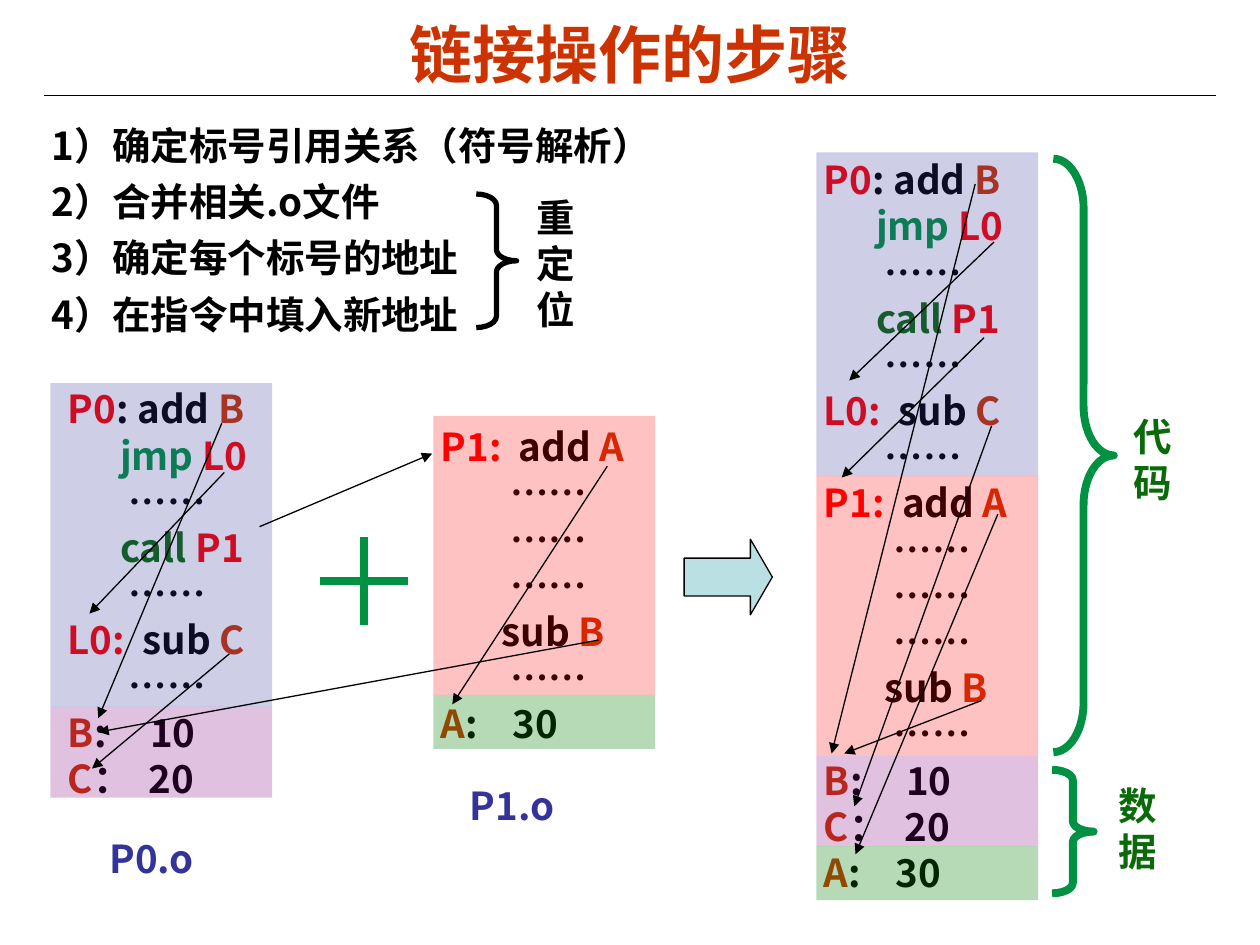
from lxml import etree
from pptx import Presentation
from pptx.dml.color import RGBColor
from pptx.enum.shapes import MSO_CONNECTOR as CONN, MSO_SHAPE as SHAPE
from pptx.enum.text import MSO_ANCHOR as ANCHOR, PP_ALIGN as ALIGN
from pptx.oxml.ns import qn
from pptx.util import Inches, Pt

COLS, ROWS = 100, 75
CELL = Inches(0.1)
SIZE, PITCH = 22, 26.4
CJK = "Noto Sans CJK SC"
C = {
    "black": "000000", "title": "CC3300", "symbol": "CC3300", "label": "FF0000",
    "jump": "009242", "call": "0A6A0A", "brace": "009242", "caption": "0A6A0A",
    "file": "333399", "arrow": "BBE0E3",
    "p0_code": "333399", "p0_data": "800080", "p1_code": "FF0000", "p1_data": "008000",
}

DOTS7 = [("       ……", "black")]
DOTS8 = [("        ……", "black")]
P0_CODE = [
    [("P0", "label"), (": add ", "black"), ("B", "symbol")],
    [("      jmp ", "jump"), ("L0", "label")],
    DOTS7,
    [("      call ", "call"), ("P1", "label")],
    DOTS7,
    [("L0:  ", "label"), ("sub ", "black"), ("C", "symbol")],
    DOTS7,
]
P0_DATA = [
    [("B", "symbol"), (":     10", "black")],
    [("C", "symbol"), ("：  20", "black")],
]
P1_CODE = [
    [("P1:  ", "label"), ("add ", "black"), ("A", "symbol")],
    DOTS8, DOTS8, DOTS8,
    [("       sub ", "black"), ("B", "symbol")],
    DOTS8,
]
P1_DATA = [[("A", "symbol"), (":    30", "black")]]
BANDS = {"p0_code": (25.7, 24), "p0_data": (7.2, 24), "p1_code": (22.15, 24), "p1_data": (4.3, 29)}


def cells(*values):
    return [round(v * CELL) for v in values]


def rgb(key):
    return RGBColor.from_string(C[key])


def add_text(slide, box, lines, font=CJK, size=SIZE, pitch=PITCH, gap=0, align=ALIGN.LEFT, anchor=ANCHOR.TOP):
    tf = slide.shapes.add_textbox(*cells(*box)).text_frame
    tf.word_wrap = True
    tf.vertical_anchor = anchor
    for i, line in enumerate(lines):
        p = tf.add_paragraph() if i else tf.paragraphs[0]
        p.alignment = align
        p.line_spacing = Pt(pitch)
        if i and gap:
            p.space_before = Pt(gap)
        for text, color in line:
            r = p.add_run()
            r.text = text
            r.font.name, r.font.size, r.font.bold = font, Pt(size), True
            r.font.color.rgb = rgb(color)
            etree.SubElement(r.font._element, qn("a:ea")).set("typeface", CJK)


def add_line(slide, start, end, color="black", width=0.75, head=False):
    ln = slide.shapes.add_connector(CONN.STRAIGHT, *cells(*start, *end))
    ln.line.color.rgb = rgb(color)
    ln.line.width = Pt(width)
    if head:
        etree.SubElement(ln.line._get_or_add_ln(), qn("a:tailEnd")).set("type", "triangle")
    etree.SubElement(ln._element.spPr, qn("a:effectLst"))


def add_shape(slide, kind, box, fill=None, alpha=None, line=None, width=0.75, adj=()):
    sp = slide.shapes.add_shape(kind, *cells(*box))
    sp.shadow.inherit = False
    for i, value in enumerate(adj):
        sp.adjustments[i] = value
    if fill:
        sp.fill.solid()
        sp.fill.fore_color.rgb = rgb(fill)
    else:
        sp.fill.background()
    if alpha:
        color = sp._element.spPr.find(qn("a:solidFill"))[0]
        etree.SubElement(color, qn("a:alpha")).set("val", str(alpha * 1000))
    if line:
        sp.line.color.rgb = rgb(line)
        sp.line.width = Pt(width)
    else:
        sp.line.fill.background()


def title_bar(slide, box):
    x, y, w, h = box
    add_text(slide, (x + 1.5, y, w - 3, h), [[("链接操作的步骤", "title")]], "Arial", 36, 52,
             align=ALIGN.CENTER, anchor=ANCHOR.MIDDLE)
    add_line(slide, (x, y + h + 0.9), (x + w, y + h + 0.9))


def step_list(slide, box):
    steps = ["1）确定标号引用关系（符号解析）", "2）合并相关.o文件", "3）确定每个标号的地址", "4）在指令中填入新地址"]
    add_text(slide, box, [[(step, "black")] for step in steps], pitch=PITCH * 1.05, gap=SIZE * 0.2)


def brace_note(slide, box, text, note, adj, color="brace", ink="caption", width=4.5):
    add_shape(slide, SHAPE.RIGHT_BRACE, box, line=color, width=width, adj=(adj, 0.5))
    add_text(slide, note, [[(text, ink)]], "Arial")


def memory_block(slide, box, shift, lines, bands, arrows):
    x, y, w = box
    dx, dy = shift
    add_text(slide, (x + dx, y + dy, w + 2.4, len(lines) * PITCH / 7.2 + 1), lines)
    top = y
    for band in bands:
        height, alpha = BANDS[band]
        add_shape(slide, SHAPE.RECTANGLE, (x, top, w, height), band, alpha)
        top += height
    for x1, y1, x2, y2 in arrows:
        add_line(slide, (x + x1, y + y1), (x + x2, y + y2), head=True)


def file_name(slide, box, name):
    add_text(slide, box, [[(name, "file")]])


def plus_sign(slide, box):
    x, y, side = box
    mid = side / 2
    add_line(slide, (x, y + mid), (x + side, y + mid), "brace", 4.5)
    add_line(slide, (x + mid, y), (x + mid, y + side), "brace", 4.5)


def main():
    prs = Presentation()
    prs.slide_width, prs.slide_height = cells(COLS, ROWS)
    slide = prs.slides.add_slide(prs.slide_layouts[6])

    title_bar(slide, (3.5, 0.6, 93, 6.1))
    step_list(slide, (3.1, 9, 52.7, 18.8))
    brace_note(slide, (37.8, 15.4, 3.2, 10.6), "重定位", (41.6, 14.9, 5.9, 12), 0.28, "black", "black", 3)

    plus_sign(slide, (25.4, 42.6, 7))
    add_shape(slide, SHAPE.RIGHT_ARROW, (54.3, 42.8, 7, 6), "arrow", line="black", adj=(0.5, 0.29))

    memory_block(slide, (64.8, 12.1, 17.6), (-0.4, -0.2), P0_CODE + P1_CODE + P0_DATA + P1_DATA,
                 ["p0_code", "p1_code", "p0_data", "p1_data"],
                 [(12.6, 2.5, 1.2, 47.7), (13.1, 43.5, 2.2, 47.7), (14.4, 28.7, 3.1, 55.7),
                  (13.9, 21.7, 3, 51.9), (14.1, 7.1, 2.6, 18.1), (13.3, 14.7, 2, 25.8)])
    brace_note(slide, (83.6, 12.6, 4.8, 47.1), "代码", (89, 32.3, 7, 8.3), 0.82)
    brace_note(slide, (83.5, 61.1, 3.3, 9.8), "数据", (87.8, 61.6, 7, 8.3), 0.25)

    memory_block(slide, (34.4, 33, 17.6), (-0.4, 0.1), P1_CODE + P1_DATA, ["p1_code", "p1_data"],
                 [(13.8, 4, 1.5, 22.9)])
    file_name(slide, (36.3, 61.6, 10.2, 4.7), "P1.o")

    memory_block(slide, (4, 30.4, 17.6), (0.4, -0.3), P0_CODE + P0_DATA, ["p0_code", "p0_data"],
                 [(13.8, 7.1, 3.1, 18.3), (13.6, 3.2, 3.8, 26.6), (14.2, 21.5, 3.3, 30.6)])
    file_name(slide, (7.7, 65.8, 10.2, 4.7), "P0.o")

    add_line(slide, (20.6, 41.8), (34.3, 36), head=True)
    add_line(slide, (47.5, 50.8), (7.8, 58.1), head=True)
    prs.save("out.pptx")


if __name__ == "__main__":
    main()
